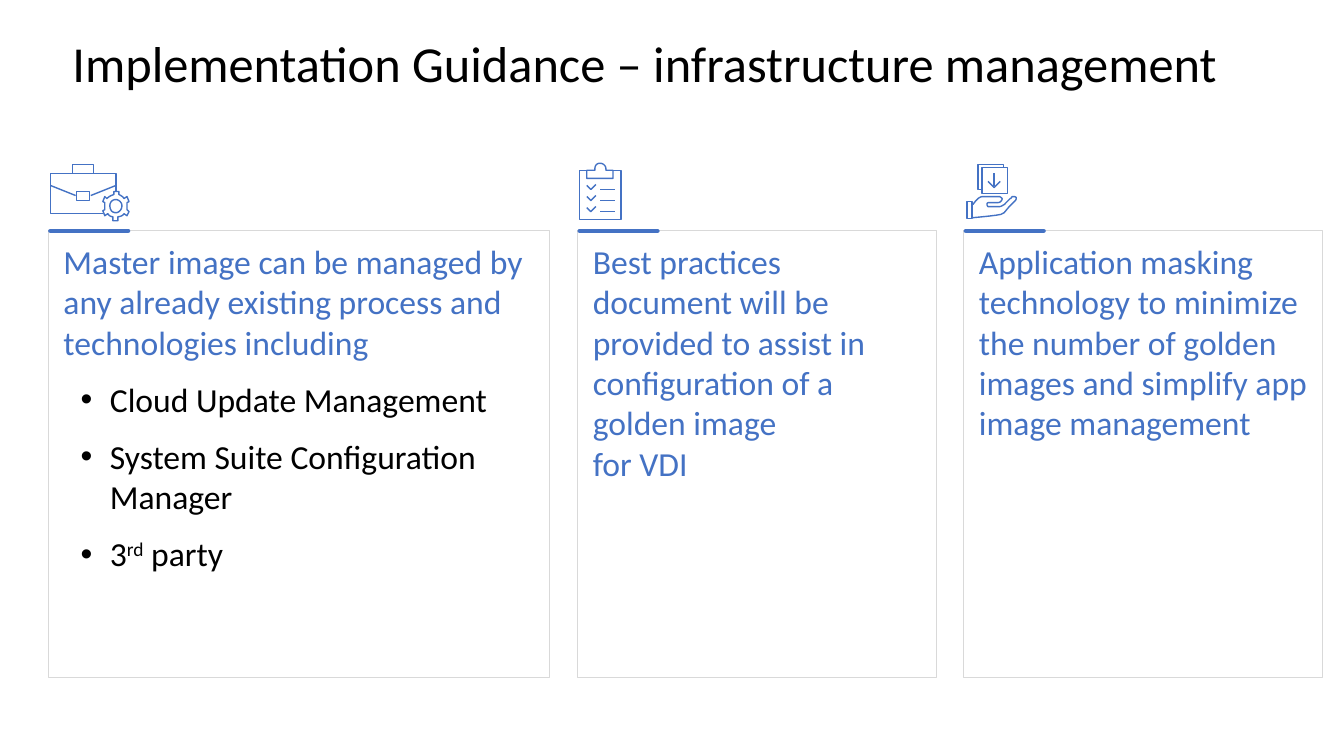
import pptx
import pptx.util
import pptx.dml.color
import pptx.enum.shapes
import pptx.enum.text
import lxml.etree

PX = 9144  # EMU in one px, 100 px to the inch
FONT = "Calibri"
COLORS = {"blue": "4472C4", "black": "000000", "grey": "D9D9D9"}

# Each stroke is a list of points; a six-number entry is a cubic curve.
CLIP = [
    [(590, 168), (590, 164, 592, 162, 595, 162), (598, 162, 601, 164, 601, 168),
     (601, 169), (608, 169), (608, 177), (582, 177), (582, 169), (590, 169), (590, 168)],
    [(582, 169), (575, 169), (575, 218), (616, 218), (616, 169), (608, 169)],
]
for row in (188, 199, 210):
    CLIP += [[(610, row), (595, row)],
             [(582, row - 4), (586, row), (591, row - 5)]]

CUFF = [[(964, 217), (959, 217), (959, 200), (964, 200), (964, 217)]]
HAND = [[
    (965, 203), (965, 203, 967, 200, 969, 198), (971, 196, 973, 195, 975, 195),
    (991, 195), (992, 195, 993, 196, 994, 197), (994, 199, 992, 201, 990, 201),
    (981, 201), (979, 201, 979, 202, 979, 203), (979, 204, 980, 205, 980, 205),
    (991, 205), (993, 205, 994, 204, 996, 203), (998, 201, 1000, 199, 1002, 197),
    (1003, 197, 1003, 196, 1004, 195), (1006, 195, 1007, 195, 1008, 196),
    (1008, 197, 1008, 198, 1007, 199), (1001, 205), (996, 211),
    (994, 212, 993, 213, 991, 213), (987, 214, 965, 216, 965, 216),
]]
FRONT = [[(974, 166), (999, 166), (999, 192), (974, 192), (974, 166)]]
BACK = [[(974, 188), (970, 188), (970, 163), (995, 163), (995, 166)]]
ARROW = [[(992, 180), (986, 186), (980, 180)], [(986, 185), (986, 172)]]

CASE = [
    [(93, 172), (93, 163), (72, 163), (72, 172)],
    [(102, 212), (50, 212), (50, 172), (115, 172), (115, 190)],
    [(89, 190), (76, 190), (76, 199), (89, 199), (89, 190)],
    [(75, 194), (50, 184)],
    [(115, 184), (90, 194)],
]
GEAR = [
    [(126, 204), (126, 201), (128, 200), (126, 195), (123, 197),
     (122, 195, 120, 194, 118, 193), (118, 190), (113, 190), (113, 193),
     (110, 194, 108, 195, 106, 197), (104, 195), (102, 200), (104, 201),
     (104, 208), (102, 209), (104, 214), (107, 212),
     (108, 214, 110, 215, 112, 215), (112, 219), (117, 219), (117, 215),
     (119, 215, 122, 214, 123, 212), (126, 214), (128, 210), (126, 208), (126, 204)],
    [(115, 211), (111, 211, 109, 208, 109, 204), (109, 201, 111, 198, 115, 198),
     (118, 198, 121, 201, 121, 204), (121, 208, 118, 211, 115, 211)],
]
ICONS = [CLIP, CUFF, HAND, FRONT, BACK, ARROW, CASE, GEAR]

# Left, width, heading, bullets; a part between bars is raised.
CARDS = [
    (48, 497, "Master image can be managed by any already existing process "
              "and technologies including",
     ["Cloud Update Management", "System Suite Configuration Manager", "3|rd| party"]),
    (573, 356, "Best practices document will be provided to assist in "
               "configuration of a golden image \vfor VDI", []),
    (956, 356, "Application masking technology to minimize the number of golden "
               "images and simplify app image management", []),
]
TOP, HIGH = 229, 443


def color(name):
    return pptx.dml.color.RGBColor.from_string(COLORS[name])


def stroke(line, name, width):
    line.color.rgb = color(name)
    line.width = pptx.util.Pt(width)


def mark(par):
    """Give a paragraph a hanging bullet."""
    props = par._p.get_or_add_pPr()
    props.set("marL", str(46 * PX))
    props.set("indent", str(-29 * PX))
    for tag, key, value in (("buFont", "typeface", "Arial"), ("buChar", "char", "•")):
        lxml.etree.SubElement(props, pptx.oxml.ns.qn("a:" + tag)).set(key, value)


def write(par, text, size=24, ink="black", before=0, after=0, bullet=False):
    par.alignment = pptx.enum.text.PP_ALIGN.LEFT
    par.space_before = pptx.util.Pt(before)
    par.space_after = pptx.util.Pt(after)
    if bullet:
        mark(par)
    for index, part in enumerate(text.split("|")):
        for turn, piece in enumerate(part.split("\v")):
            if turn:
                par.add_line_break()
            run = par.add_run()
            run.text = piece
            run.font.name = FONT
            run.font.size = pptx.util.Pt(size)
            run.font.color.rgb = color(ink)
            if index % 2:
                run._r.get_or_add_rPr().set("baseline", "30000")


def title(slide, text):
    box = slide.shapes.add_textbox(62 * PX, 27 * PX, 1166 * PX, 71 * PX)
    frame = box.text_frame
    frame.word_wrap = False
    frame.auto_size = pptx.enum.text.MSO_AUTO_SIZE.SHAPE_TO_FIT_TEXT
    write(frame.paragraphs[0], text, size=36)


def card(slide, left, width, head, items):
    box = slide.shapes.add_shape(pptx.enum.shapes.MSO_SHAPE.RECTANGLE,
                                 left * PX, TOP * PX, width * PX, HIGH * PX)
    box.shadow.inherit = False
    box.fill.background()
    stroke(box.line, "grey", 0.5)
    frame = box.text_frame
    frame.word_wrap = True
    frame.vertical_anchor = pptx.enum.text.MSO_ANCHOR.TOP
    frame.margin_left = frame.margin_right = 15 * PX
    frame.margin_top = frame.margin_bottom = 10 * PX
    write(frame.paragraphs[0], head, ink="blue", after=6)
    for item in items:
        write(frame.add_paragraph(), item, before=6, after=6, bullet=True)


def accent(slide, left):
    """Draw the short round-ended bar on the top edge of a card."""
    bar = slide.shapes.add_connector(pptx.enum.shapes.MSO_CONNECTOR.STRAIGHT,
                                     left * PX, TOP * PX, (left + 77) * PX, TOP * PX)
    stroke(bar.line, "blue", 3.25)
    bar.line._get_or_add_ln().set("cap", "rnd")
    lxml.etree.SubElement(bar._element.spPr, pptx.oxml.ns.qn("a:effectLst"))


def trace(path, steps=8):
    """Turn a stroke into points in EMU, with its curves sampled."""
    points = [path[0]]
    for entry in path[1:]:
        if len(entry) == 2:
            points.append(entry)
            continue
        ends = [points[-1], entry[:2], entry[2:4], entry[4:]]
        for step in range(1, steps + 1):
            t = step / steps
            parts = ((1 - t) ** 3, 3 * t * (1 - t) ** 2, 3 * t * t * (1 - t), t ** 3)
            points.append(tuple(sum(w * p[axis] for w, p in zip(parts, ends))
                                for axis in (0, 1)))
    return [(round(x * PX), round(y * PX)) for x, y in points]


def icon(slide, paths):
    pen = None
    for path in paths:
        points = trace(path)
        if pen is None:
            pen = slide.shapes.build_freeform(*points[0], scale=1.0)
        else:
            pen.move_to(*points[0])
        pen.add_line_segments(points[1:], close=path[0] == path[-1][-2:])
    shape = pen.convert_to_shape()
    shape.shadow.inherit = False
    shape.fill.background()
    stroke(shape.line, "blue", 1)


def main():
    deck = pptx.Presentation()
    deck.slide_width, deck.slide_height = 1333 * PX, 750 * PX
    slide = deck.slides.add_slide(deck.slide_layouts[6])
    title(slide, "Implementation Guidance – infrastructure management")
    for spec in CARDS:
        card(slide, *spec)
    for left, *_ in CARDS:
        accent(slide, left + 2)
    for paths in ICONS:
        icon(slide, paths)
    deck.save("out.pptx")


if __name__ == "__main__":
    main()
